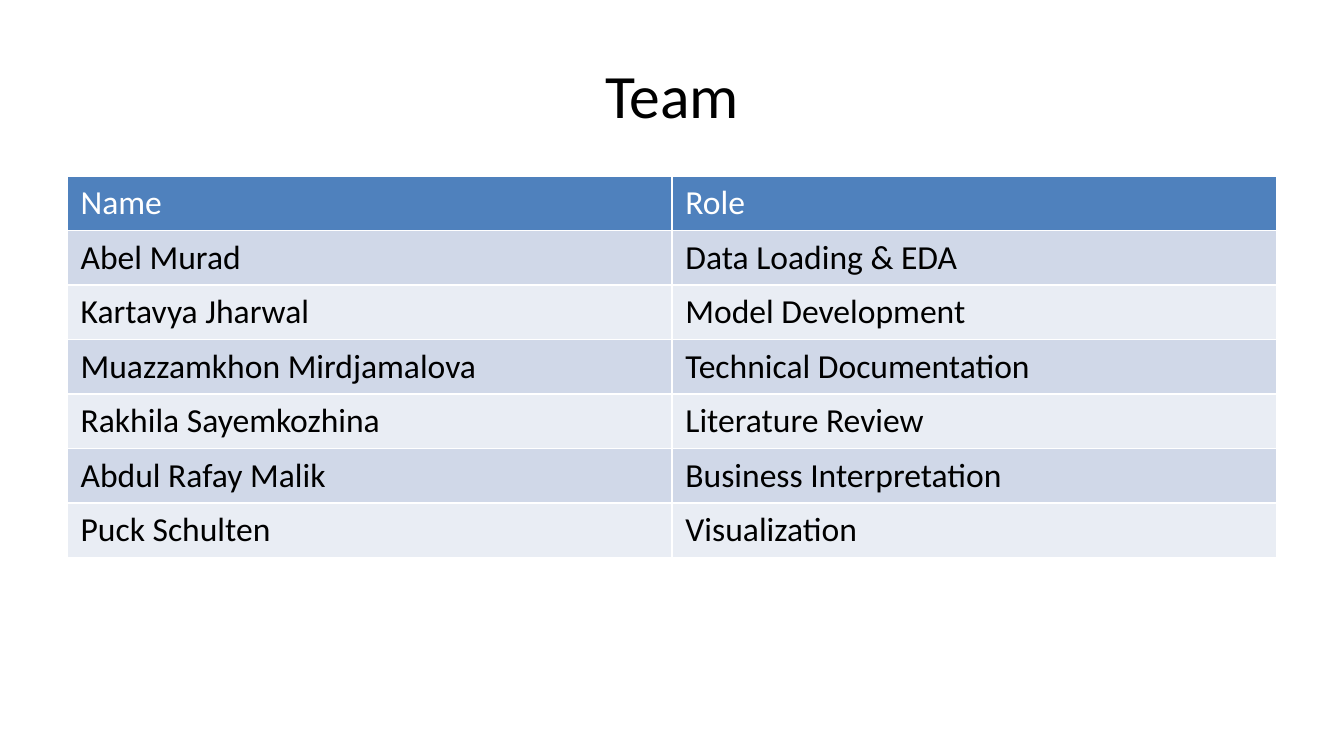
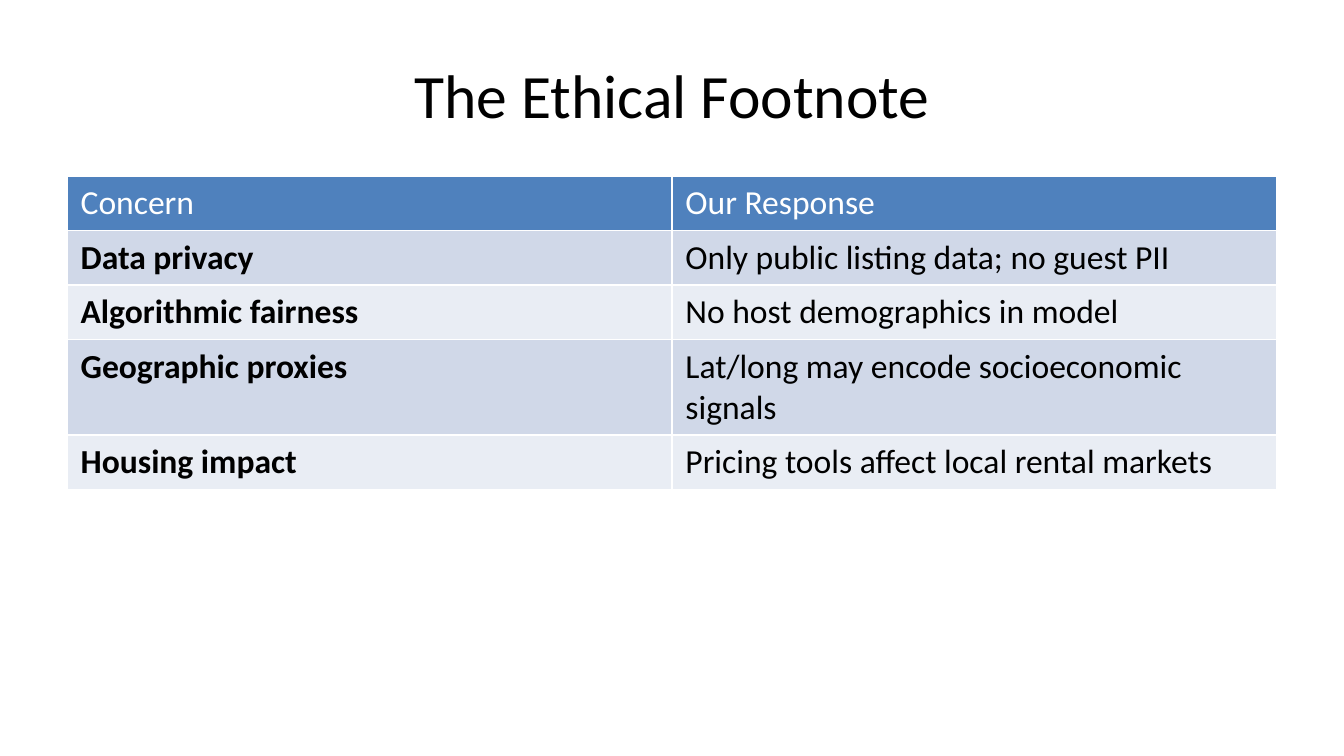
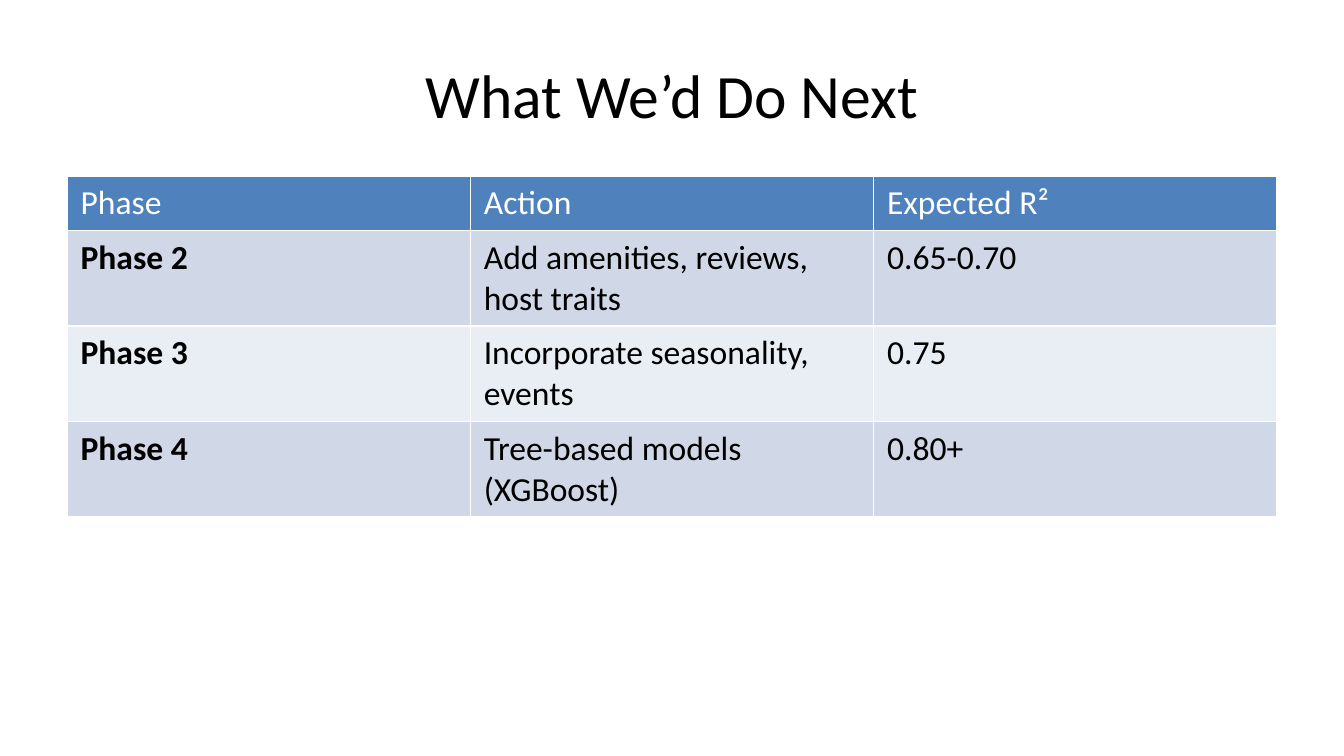
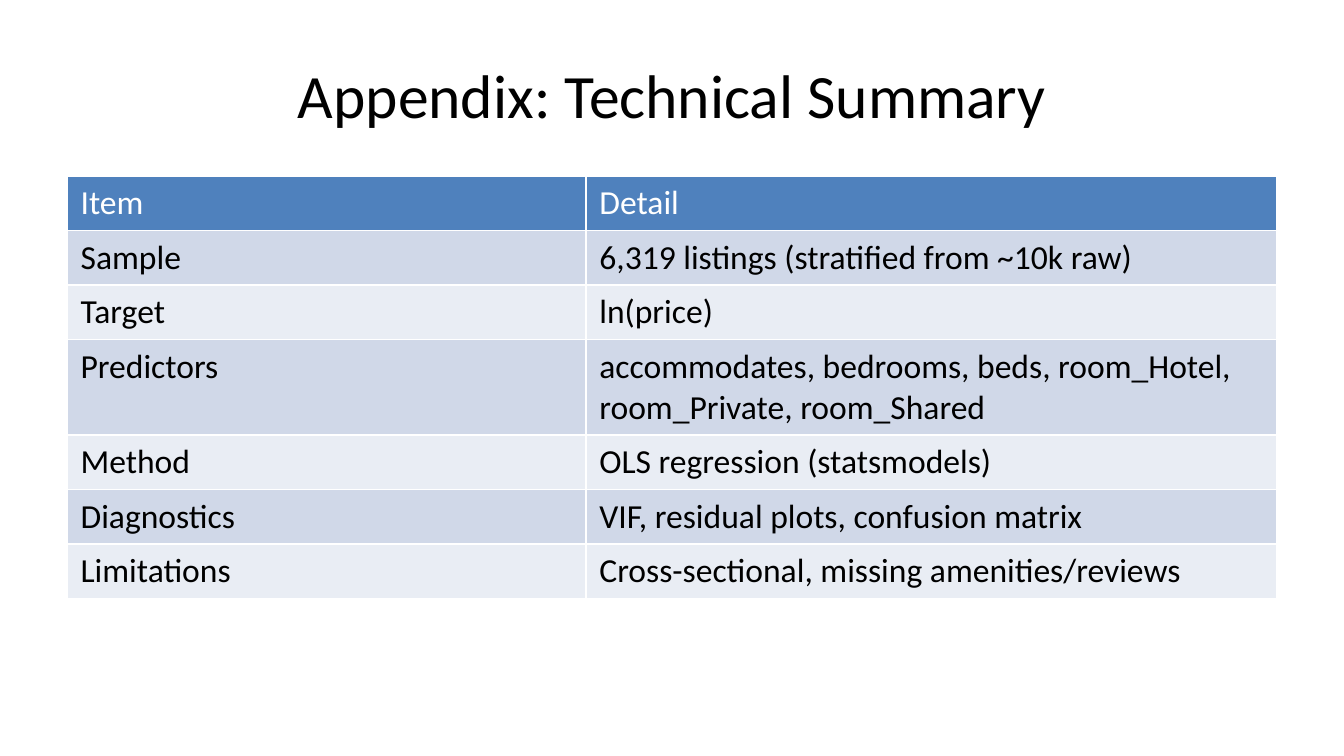
from pptx import Presentation
from pptx.dml.color import RGBColor
from pptx.enum import text
from pptx.util import Inches, Pt

FONT = "Calibri"
BLACK = RGBColor(0x00, 0x00, 0x00)
WHITE = RGBColor(0xFF, 0xFF, 0xFF)
HEADER_BLUE = RGBColor(0x4F, 0x81, 0xBD)
BANDS = (RGBColor(0xD0, 0xD8, 0xE8), RGBColor(0xE9, 0xED, 0xF4))

SLIDE_WIDTH = Inches(10)
SLIDE_HEIGHT = SLIDE_WIDTH * 9 // 16
LEFT, WIDTH = 0.5, 9
TITLE_TOP, TITLE_HEIGHT = 0.23, 0.94
TABLE_TOP, TABLE_HEIGHT = 1.31, 3.71
TITLE_ONLY = 5

TEAM = [
    ("Name", "Role"),
    ("Abel Murad", "Data Loading & EDA"),
    ("Kartavya Jharwal", "Model Development"),
    ("Muazzamkhon Mirdjamalova", "Technical Documentation"),
    ("Rakhila Sayemkozhina", "Literature Review"),
    ("Abdul Rafay Malik", "Business Interpretation"),
    ("Puck Schulten", "Visualization"),
]
ETHICS = [
    ("Concern", "Our Response"),
    ("Data privacy", "Only public listing data; no guest PII"),
    ("Algorithmic fairness", "No host demographics in model"),
    ("Geographic proxies", "Lat/long may encode socioeconomic signals"),
    ("Housing impact", "Pricing tools affect local rental markets"),
]
NEXT_STEPS = [
    ("Phase", "Action", "Expected R²"),
    ("Phase 2", "Add amenities, reviews, host traits", "0.65-0.70"),
    ("Phase 3", "Incorporate seasonality, events", "0.75"),
    ("Phase 4", "Tree-based models (XGBoost)", "0.80+"),
]
SUMMARY = [
    ("Item", "Detail"),
    ("Sample", "6,319 listings (stratified from ~10k raw)"),
    ("Target", "ln(price)"),
    ("Predictors", "accommodates, bedrooms, beds, room_Hotel, room_Private, room_Shared"),
    ("Method", "OLS regression (statsmodels)"),
    ("Diagnostics", "VIF, residual plots, confusion matrix"),
    ("Limitations", "Cross-sectional, missing amenities/reviews"),
]


def set_font(para, size, color, bold=False):
    para.font.name = FONT
    para.font.size = Pt(size)
    para.font.color.rgb = color
    para.font.bold = bold


def add_titled_slide(deck, title):
    slide = deck.slides.add_slide(deck.slide_layouts[TITLE_ONLY])
    box = slide.shapes.title
    box.left, box.top = Inches(LEFT), Inches(TITLE_TOP)
    box.width, box.height = Inches(WIDTH), Inches(TITLE_HEIGHT)
    box.text_frame.text = title
    box.text_frame.vertical_anchor = text.MSO_ANCHOR.MIDDLE
    para = box.text_frame.paragraphs[0]
    para.alignment = text.PP_ALIGN.CENTER
    set_font(para, 33, BLACK)
    return slide


def fill_cell(cell, words, fill, color, bold):
    cell.text = words
    cell.fill.solid()
    cell.fill.fore_color.rgb = fill
    set_font(cell.text_frame.paragraphs[0], 18, color, bold)


def add_banded_table(slide, rows, widths=None, bold_labels=False):
    """Add a table with a header row; columns are equal unless widths are given."""
    count = len(rows[0])
    frame = slide.shapes.add_table(
        len(rows), count, Inches(LEFT), Inches(TABLE_TOP), Inches(WIDTH), Inches(TABLE_HEIGHT)
    )
    table = frame.table
    for column, width in zip(table.columns, widths or [WIDTH / count] * count):
        column.width = Inches(width)
    for r, row in enumerate(rows):
        table.rows[r].height = 0  # each row grows to fit its text
        is_header = r == 0
        fill = HEADER_BLUE if is_header else BANDS[(r - 1) % 2]
        color = WHITE if is_header else BLACK
        for c, words in enumerate(row):
            bold = bold_labels and c == 0 and not is_header
            fill_cell(table.cell(r, c), words, fill, color, bold)
    frame.height = Inches(TABLE_HEIGHT)


def main():
    deck = Presentation()
    deck.slide_width, deck.slide_height = SLIDE_WIDTH, SLIDE_HEIGHT
    add_banded_table(add_titled_slide(deck, "Team"), TEAM)
    add_banded_table(add_titled_slide(deck, "The Ethical Footnote"), ETHICS, bold_labels=True)
    add_banded_table(add_titled_slide(deck, "What We’d Do Next"), NEXT_STEPS, bold_labels=True)
    add_banded_table(
        add_titled_slide(deck, "Appendix: Technical Summary"), SUMMARY, widths=(3.86, 5.14)
    )
    deck.save("out.pptx")


if __name__ == "__main__":
    main()
